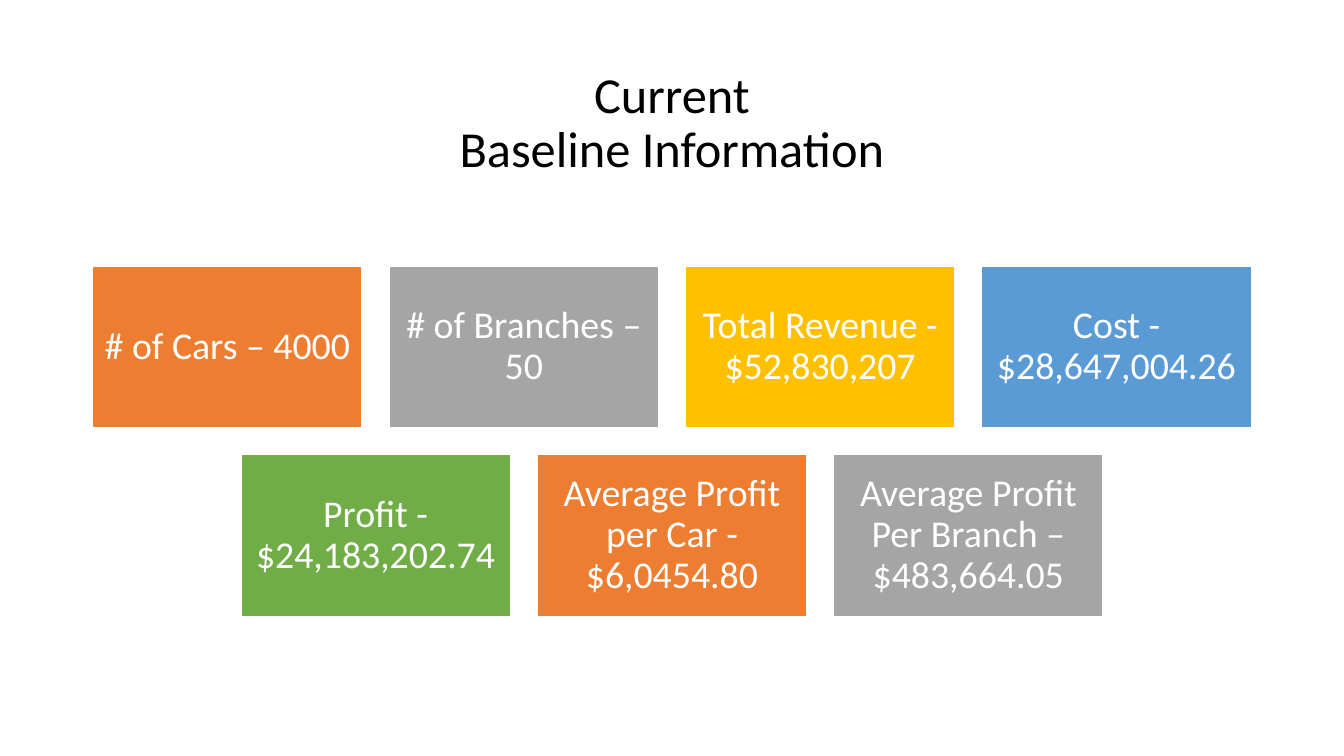
"""Build the baseline information slide with its two centred rows of cards."""
from pptx import Presentation
from pptx.dml.color import RGBColor
from pptx.enum.shapes import MSO_SHAPE
from pptx.enum.text import MSO_ANCHOR, PP_ALIGN
from pptx.util import Pt

BLACK = RGBColor(0x00, 0x00, 0x00)
WHITE = RGBColor(0xFF, 0xFF, 0xFF)
ORANGE = RGBColor(0xED, 0x7D, 0x31)
GRAY = RGBColor(0xA5, 0xA5, 0xA5)
GOLD = RGBColor(0xFF, 0xC0, 0x00)
BLUE = RGBColor(0x5B, 0x9B, 0xD5)
GREEN = RGBColor(0x70, 0xAD, 0x47)

SLIDE_WIDTH, SLIDE_HEIGHT = 960, 540
CARD_WIDTH, CARD_HEIGHT, CARD_GAP = 192.5, 115.4, 19.2
CARDS_TOP = 190.2

CARD_ROWS = [
    [
        ("# of Cars – 4000", ORANGE),
        ("# of Branches – 50", GRAY),
        ("Total Revenue - $52,830,207", GOLD),
        ("Cost - $28,647,004.26", BLUE),
    ],
    [
        ("Profit - $24,183,202.74", GREEN),
        ("Average Profit per Car - $6,0454.80", ORANGE),
        ("Average Profit Per Branch – $483,664.05", GRAY),
    ],
]


class SlideBuilder:
    font_name = "Calibri"
    title_size = 36
    card_size = 27
    card_inset = 7.9
    line_spacing = 0.9

    def __init__(self, slide):
        self.slide = slide

    def add_centered_text(self, shape, lines, size, color):
        frame = shape.text_frame
        frame.word_wrap = True
        frame.vertical_anchor = MSO_ANCHOR.MIDDLE
        paragraph = frame.paragraphs[0]
        paragraph.alignment = PP_ALIGN.CENTER
        paragraph.line_spacing = self.line_spacing
        for index, line in enumerate(lines):
            if index:
                paragraph.add_line_break()
            run = paragraph.add_run()
            run.text = line
            run.font.name = self.font_name
            run.font.size = Pt(size)
            run.font.color.rgb = color

    def add_title(self, left, top, width, height, lines):
        shape = self.slide.shapes.add_textbox(Pt(left), Pt(top), Pt(width), Pt(height))
        self.add_centered_text(shape, lines, self.title_size, BLACK)

    def add_card(self, left, top, text, fill):
        shape = self.slide.shapes.add_shape(
            MSO_SHAPE.RECTANGLE, Pt(left), Pt(top), Pt(CARD_WIDTH), Pt(CARD_HEIGHT)
        )
        shape.shadow.inherit = False
        shape.fill.solid()
        shape.fill.fore_color.rgb = fill
        shape.line.color.rgb = WHITE
        shape.line.width = Pt(1)
        frame = shape.text_frame
        frame.margin_left = frame.margin_right = Pt(self.card_inset)
        frame.margin_top = frame.margin_bottom = Pt(self.card_inset)
        self.add_centered_text(shape, [text], self.card_size, WHITE)

    def add_card_row(self, top, cards):
        pitch = CARD_WIDTH + CARD_GAP
        left = (SLIDE_WIDTH - len(cards) * pitch + CARD_GAP) / 2
        for index, (text, fill) in enumerate(cards):
            self.add_card(left + index * pitch, top, text, fill)


def main():
    presentation = Presentation()
    presentation.slide_width = Pt(SLIDE_WIDTH)
    presentation.slide_height = Pt(SLIDE_HEIGHT)
    builder = SlideBuilder(presentation.slides.add_slide(presentation.slide_layouts[6]))
    builder.add_title(66, 44, 828, 89.5, ["Current", "Baseline Information"])
    for index, cards in enumerate(CARD_ROWS):
        builder.add_card_row(CARDS_TOP + index * (CARD_HEIGHT + CARD_GAP), cards)
    presentation.save("out.pptx")


if __name__ == "__main__":
    main()
